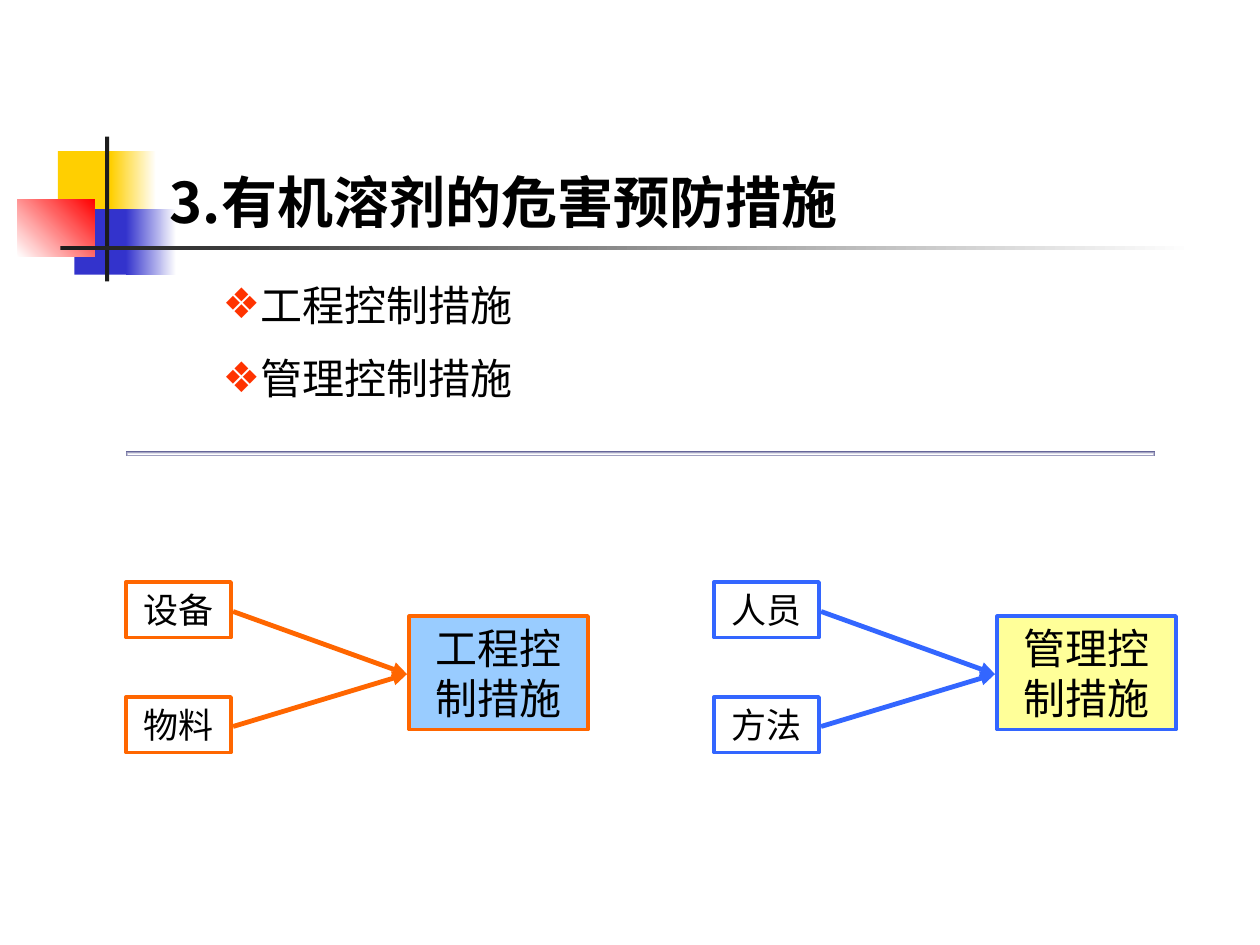
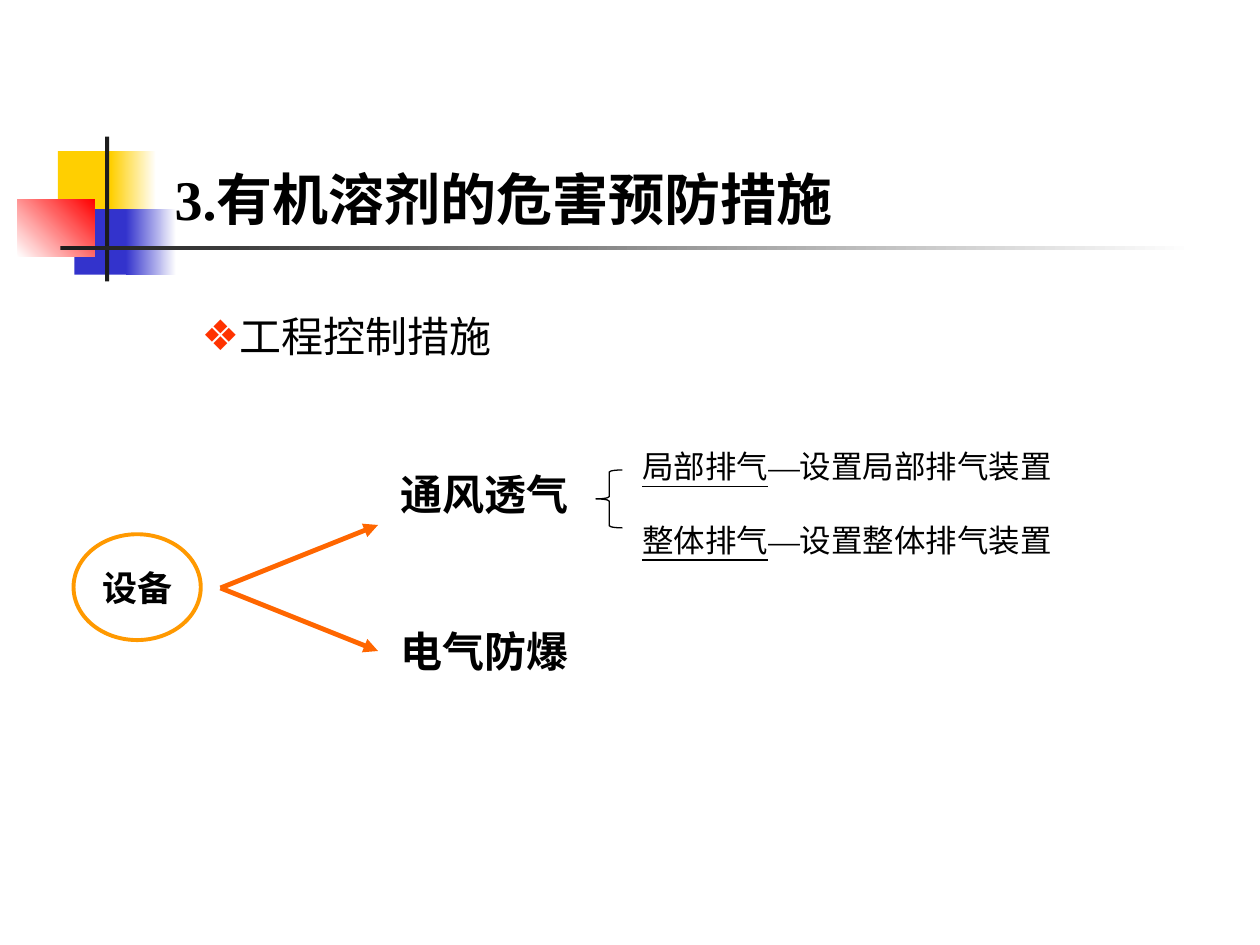
from lxml import etree
from pptx import Presentation
from pptx import util as u
from pptx.dml import color
from pptx.enum import shapes, text
from pptx.oxml import ns

COLS, ROWS = 120, 90
WIDTH, HEIGHT = u.Inches(10), u.Inches(7.5)
HUE = {
    "ink": "000000", "dark": "1C1C1C", "white": "FFFFFF", "gold": "FFCF01",
    "navy": "3333CC", "red": "FF0000", "bullet": "FF3300", "slate": "666699",
    "orange": "FF6600", "amber": "FF9900", "blue": "3366FF",
    "sky": "99CCFF", "cream": "FFFF99",
}
KIND = shapes.MSO_SHAPE
MID, TOP = text.MSO_ANCHOR.MIDDLE, text.MSO_ANCHOR.TOP
CENTER, LEFT = text.PP_ALIGN.CENTER, text.PP_ALIGN.LEFT
HEAD = {"size": u.Pt(32), "bold": True}
ITEM = {"size": u.Pt(24), "bold": False}
TERM = {"size": u.Pt(24), "bold": True}
NODE = {"size": u.Pt(20), "bold": False}
NOTE = {"size": u.Pt(18), "bold": False}
SANS, SERIF, CJK = "Lato", "Times New Roman", "Noto Sans CJK SC"


def rgb(name):
    """Give the colour of that name."""
    return color.RGBColor.from_string(HUE[name])


def grid(*nums):
    """Turn column and row pairs into lengths."""
    return [round(n * (HEIGHT / ROWS if i % 2 else WIDTH / COLS))
            for i, n in enumerate(nums)]


def add(parent, tag, **attrs):
    """Append a drawing element with attributes."""
    return etree.SubElement(parent, ns.qn("a:" + tag), attrs)


def place(shape, box):
    """Move a shape to a box on the grid."""
    for key, val in zip(("left", "top", "width", "height"), grid(*box)):
        setattr(shape, key, val)


def write(para, runs, form):
    """Add runs given as text, font and underline."""
    for words, face, *line in runs:
        run = para.add_run()
        run.text = words
        for key, val in {**form, "name": face, "underline": bool(line)}.items():
            setattr(run.font, key, val)
        run.font.color.rgb = rgb("ink")
        add(run.font._element, "ea", typeface=face)


def fit(frame, anchor, wrap=True, pad=(0.1, 0.05)):
    """Set the margins, anchor and wrap of a text frame."""
    form = {
        "auto_size": text.MSO_AUTO_SIZE.NONE, "word_wrap": wrap,
        "vertical_anchor": anchor,
        "margin_left": u.Inches(pad[0]), "margin_right": u.Inches(pad[0]),
        "margin_top": u.Inches(pad[1]), "margin_bottom": u.Inches(pad[1]),
    }
    for key, val in form.items():
        setattr(frame, key, val)


def draw(slide, box, fill=None, line=None, kind=KIND.RECTANGLE, width=2.25):
    """Draw a preset shape with a plain, shaded or empty fill."""
    shape = slide.shapes.add_shape(kind, *grid(*box))
    shape.shadow.inherit = False
    if isinstance(fill, tuple):
        start, end, angle = fill
        shape.fill.gradient()
        shape.fill.gradient_angle = angle
        for stop, name in zip(shape.fill.gradient_stops, (start, end)):
            stop.color.rgb = rgb(name)
    elif fill:
        shape.fill.solid()
        shape.fill.fore_color.rgb = rgb(fill)
    else:
        shape.fill.background()
    if line:
        shape.line.color.rgb = rgb(line)
        shape.line.width = u.Pt(width)
    else:
        shape.line.fill.background()
    return shape


def label(slide, box, runs, form):
    """Place a left-aligned text box."""
    frame = slide.shapes.add_textbox(*grid(*box)).text_frame
    fit(frame, TOP)
    write(frame.paragraphs[0], runs, form)


def node(shape, words, form, **opts):
    """Write centred text into a shape."""
    fit(shape.text_frame, MID, **opts)
    para = shape.text_frame.paragraphs[0]
    para.alignment = CENTER
    write(para, [(words, SANS)], form)


def arrow(slide, start, end, hue):
    """Draw a line with an arrowhead at its end."""
    line = slide.shapes.add_connector(
        shapes.MSO_CONNECTOR.STRAIGHT, *grid(*start, *end))
    line.line.color.rgb = rgb(hue)
    line.line.width = u.Pt(2.75)
    add(line.line._get_or_add_ln(), "tailEnd", type="triangle")
    add(line._element.spPr, "effectLst")


def motif(slide, x, y):
    """Draw the coloured squares and crossing bars."""
    parts = [
        (5.52, 1.4, 5.76, 6.24, "gold"),
        (10.56, 1.4, 4.32, 6.24, ("gold", "white", 0)),
        (7.08, 6.92, 5.52, 6.24, "navy"),
        (12, 6.92, 4.8, 6.24, ("navy", "white", 0)),
        (1.68, 5.96, 7.32, 5.52, ("white", "red", 45)),
        (10, 0, 0.4, 13.8, "dark"),
        (5.76, 10.4, 108, 0.4, ("dark", "white", 0)),
    ]
    for dx, dy, w, h, fill in parts:
        draw(slide, (x + dx, y + dy, w, h), fill)


def page(deck, top, runs, box, items):
    """Start a slide with its motif, title and list."""
    slide = deck.slides.add_slide(deck.slide_layouts[1])
    motif(slide, 0, 13)
    title, body = slide.placeholders
    for holder in (title, body):
        slide.shapes._spTree.append(holder._element)
    place(title, (8, top, 80, 7.68))
    fit(title.text_frame, MID)
    para = title.text_frame.paragraphs[0]
    para.alignment = CENTER
    write(para, runs, HEAD)
    place(body, box)
    fit(body.text_frame, TOP)
    for i, words in enumerate(items):
        para = body.text_frame.add_paragraph() if i else body.text_frame.paragraphs[0]
        para.alignment = LEFT
        para.space_before = u.Pt(13 if i else 0)
        props = para._p.get_or_add_pPr()
        for key in ("marL", "indent"):
            props.set(key, "0")
        add(add(props, "buClr"), "srgbClr", val=HUE["bullet"])
        add(props, "buChar", char="❖")
        write(para, [(words, SANS)], ITEM)
    return slide


def rule(slide, box):
    """Draw a thin bar shaded from its centre outwards."""
    bar = draw(slide, box, ("white", "slate", 0))
    lin = bar._element.spPr.find(".//" + ns.qn("a:lin"))
    grad = lin.getparent()
    grad.remove(lin)
    side = dict.fromkeys("ltrb", "50000")
    add(add(grad, "path", path="rect"), "fillToRect", **side)


def merge(slide, x, y, causes, goal, hue, fill):
    """Draw two causes that lead to one measure."""
    node(draw(slide, (x + 27, y + 3.24, 17, 10.8), fill, hue), goal, ITEM)
    for i, words in enumerate(causes):
        row = y + i * 10.95
        node(draw(slide, (x, row, 10, 5.28), None, hue), words, NODE)
        arrow(slide, (x + 10.2, row + 2.8), (x + 26.76, y + 8.76), hue)


def split(slide, x, y, root, terms):
    """Draw a round root with arrows to its terms."""
    oval = draw(slide, (x, y - 5.12, 12.12, 10.08), None, "amber", KIND.OVAL)
    node(oval, root, {**NODE, "bold": True}, wrap=False, pad=(0, 0))
    for words, step, row in zip(terms, (-6, 6), (-12, 3)):
        arrow(slide, (x + 14, y), (x + 29, y + step), "orange")
        label(slide, (x + 30, y + row, 22, 6), [(words, SANS)], TERM)


def detail(slide, x, y, kinds):
    """Draw a brace and one note for each kind of exhaust."""
    draw(slide, (x, y + 2.76, 2.52, 5.52), None, "ink", KIND.LEFT_BRACE, 0.75)
    for i, name in enumerate(kinds):
        runs = [(name, SANS, True), ("—", SERIF), (f"设置{name}装置", SANS)]
        label(slide, (x + 3.24, y + 7 * i, 58, 4.8), runs, NOTE)


def main():
    """Build and save both slides."""
    deck = Presentation()
    deck.slide_width, deck.slide_height = WIDTH, HEIGHT
    name = "有机溶剂的危害预防措施"
    tech, admin = "工程控制措施", "管理控制措施"

    first = page(deck, 15.36, [("3." + name, CJK)], (20, 26, 42, 13), [tech, admin])
    rule(first, (12, 43, 98, 0.48))
    merge(first, 12, 55.44, ["设备", "物料"], tech, "orange", "sky")
    merge(first, 68, 55.44, ["人员", "方法"], admin, "blue", "cream")

    second = page(deck, 15, [("3.", SERIF), (name, SANS)], (18, 29, 42, 6), [tech])
    split(second, 7, 56, "设备", ["通风透气", "电气防爆"])
    detail(second, 56.76, 42, ["局部排气", "整体排气"])
    deck.save("out.pptx")


if __name__ == "__main__":
    main()
